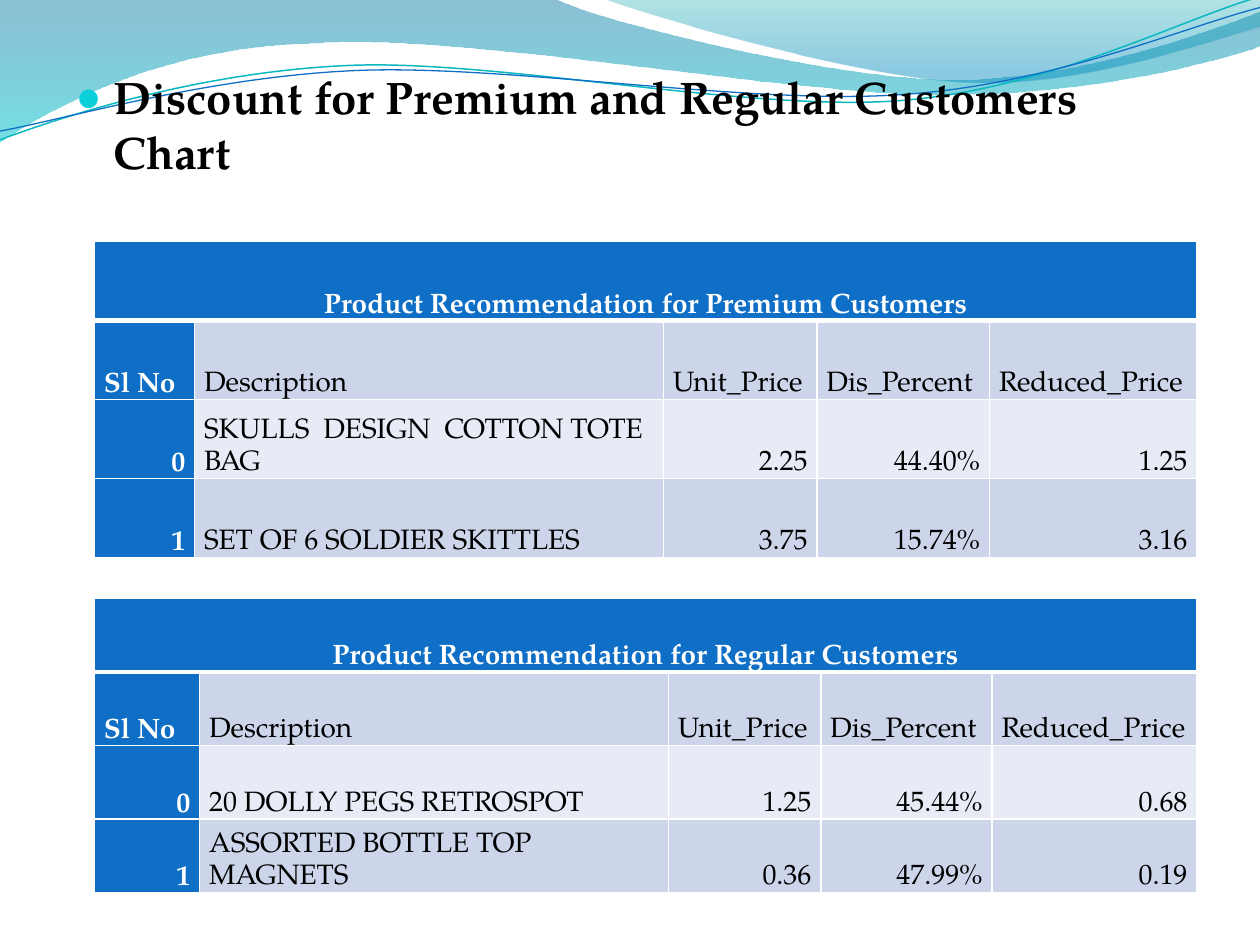
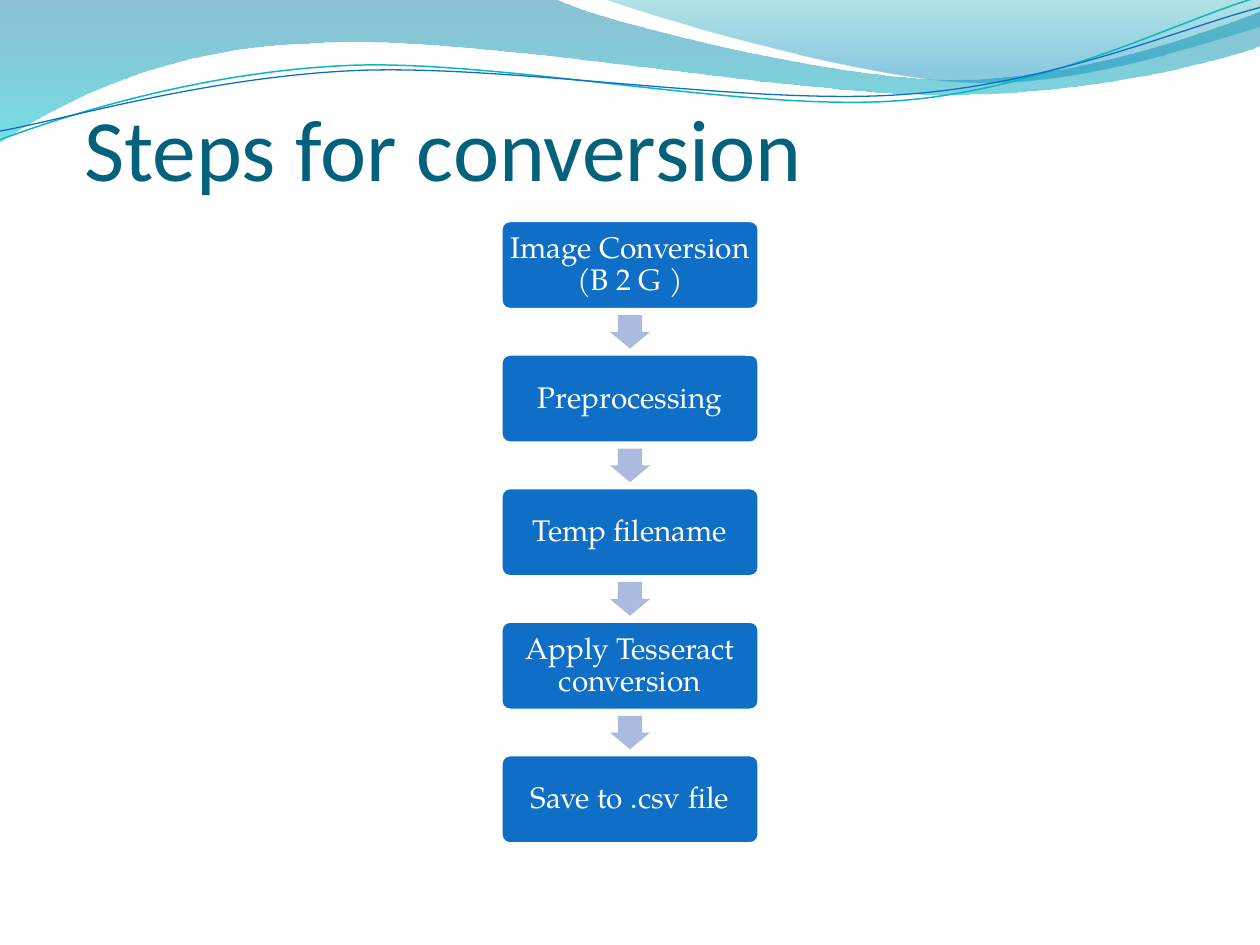
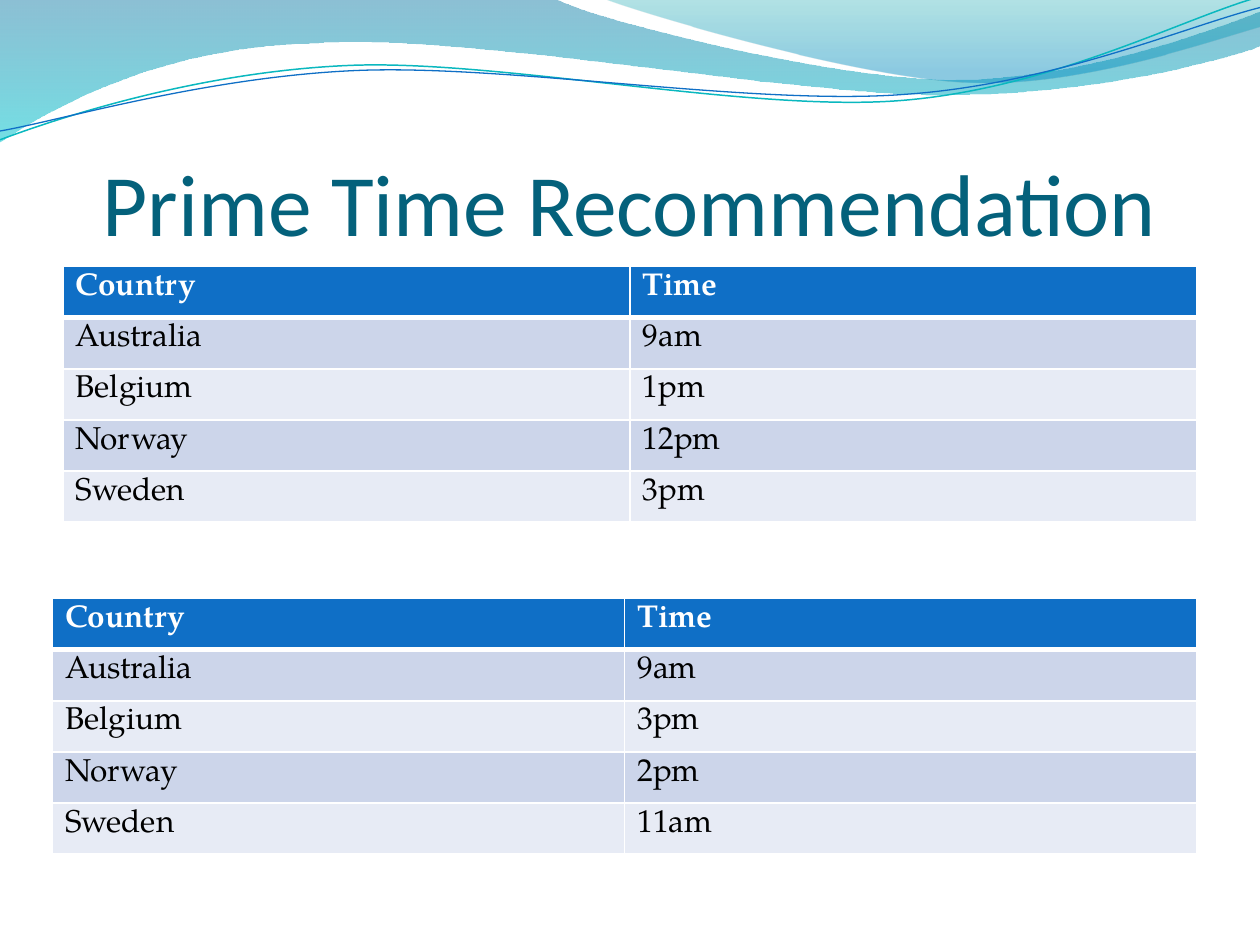
from dataclasses import dataclass
from typing import Optional

from lxml.etree import SubElement
from pptx import Presentation
from pptx.dml.color import RGBColor
from pptx.enum.shapes import MSO_SHAPE
from pptx.enum.text import MSO_ANCHOR, MSO_AUTO_SIZE, PP_ALIGN
from pptx.oxml.ns import qn
from pptx.util import Inches, Pt

# The slide is a grid of 100 columns by 75 rows
SLIDE_WIDTH, SLIDE_HEIGHT = Inches(10), Inches(7.5)
COLUMN, ROW = SLIDE_WIDTH / 100, SLIDE_HEIGHT / 75

# Shared style
BODY_FONT, TITLE_FONT = "TeX Gyre Pagella", "Calibri"
BLUE, TEAL, WHITE, BLACK = "0F6FC6", "04617B", "FFFFFF", "000000"
BAND_DARK, BAND_LIGHT, ARROW = "CCD5EA", "E7EBF5", "ABBBDF"
BULLET, TURQUOISE = "0BD0D9", "0AB8BF"
TITLE_ONLY, TITLE_AND_CONTENT = 5, 1


@dataclass(frozen=True)
class Area:
    left: float
    top: float
    width: float
    height: float

    def emu(self) -> tuple[int, int, int, int]:
        return (columns(self.left), rows(self.top),
                columns(self.width), rows(self.height))


@dataclass(frozen=True)
class Stop:
    position: float
    color: str
    opacity: int


@dataclass(frozen=True)
class Wave:
    """Segments hold one point for a line and three for a Bezier curve."""
    start: tuple
    segments: tuple
    stops: tuple = ()
    line_color: str = ""
    line_width: float = 0


@dataclass(frozen=True)
class TextStyle:
    size: float
    color: str = BLACK
    bold: bool = False
    font: str = BODY_FONT


@dataclass(frozen=True)
class TableStyle:
    size: float
    anchor: MSO_ANCHOR = MSO_ANCHOR.TOP
    side_margin: float = 0.1
    end_margin: float = 0.05
    line_spacing: Optional[float] = None
    captioned: bool = False  # caption across the top, blue index column


WAVES = (
    Wave((0, 0), (
        ((44, -0.1),),
        ((47.6, 1.7), (66.4, 6.3), (75.8, 6.3)),
        ((85.3, 6.3), (95.8, 2.6), (100, 0.9)),
        ((100.1, 3.6),),
        ((98.3, 4.4), (87, 7.6), (74.6, 7.5)),
        ((62.2, 7.5), (38.2, 2.8), (25.7, 3.4)),
        ((12.9, 3.6), (4.6, 8.3), (-0.1, 11.3)),
    ), stops=(Stop(0, "0074A1", 45), Stop(1, "00C6CF", 55))),
    Wave((47.9, -0.1), (
        ((50.9, 1.1), (68.2, 6.2), (76.9, 6.5)),
        ((85.6, 6.9), (96.1, 3.2), (100, 2.1)),
        ((100, 0),),
    ), stops=(Stop(0, "00A1A9", 30), Stop(0.8, "008BBF", 45))),
    Wave((0, 11.1), (
        ((4.8, 9.3), (15.8, 5.7), (27.7, 5.2)),
        ((39.5, 4.7), (59.3, 8.9), (71.3, 8)),
        ((83.3, 7.1), (93.8, 1.5), (99.8, -0.2)),
    ), line_color=TURQUOISE, line_width=0.85),
    Wave((0, 10.4), (
        ((4.7, 9.6), (16.4, 6.1), (28.3, 5.6)),
        ((40.3, 5.1), (59.7, 8.4), (71.7, 7.5)),
        ((83.6, 6.7), (94.1, 2.1), (100, 0.6)),
    ), line_color=BLUE, line_width=0.75),
)


def columns(count: float) -> int:
    return round(count * COLUMN)


def rows(count: float) -> int:
    return round(count * ROW)


def color(hex_color: str) -> RGBColor:
    return RGBColor.from_string(hex_color)


def add_run(paragraph, text: str, style: TextStyle) -> None:
    run = paragraph.add_run()
    run.text = text
    run.font.name, run.font.size = style.font, Pt(style.size)
    run.font.bold = style.bold
    run.font.color.rgb = color(style.color)


def set_margins(target, sides: float, top: float, bottom: float) -> None:
    target.margin_left = target.margin_right = Inches(sides)
    target.margin_top, target.margin_bottom = Inches(top), Inches(bottom)


def place(shape, area: Area) -> None:
    shape.left, shape.top, shape.width, shape.height = area.emu()


# Wave band shared by all slides

def bend_segments(shape, segments: tuple) -> None:
    """Turn each run of three straight steps into one Bezier curve."""
    lines = iter(list(shape.element.iter(qn("a:lnTo"))))
    for segment in segments:
        first, *others = [next(lines) for _ in segment]
        if others:
            first.tag = qn("a:cubicBezTo")
            for line in others:
                first.append(line[0])
                line.getparent().remove(line)


def draw_wave(slide, wave: Wave):
    start = (columns(wave.start[0]), rows(wave.start[1]))
    points = [(columns(x), rows(y)) for segment in wave.segments for x, y in segment]
    builder = slide.shapes.build_freeform(*start)
    builder.add_line_segments(points, close=bool(wave.stops))
    shape = builder.convert_to_shape()
    bend_segments(shape, wave.segments)
    shape.shadow.inherit = False
    if not wave.stops:
        shape.fill.background()
        shape.line.color.rgb = color(wave.line_color)
        shape.line.width = Pt(wave.line_width)
        return shape
    shape.line.fill.background()
    shape.fill.gradient()
    shape.fill.gradient_angle = 270
    for gradient_stop, stop in zip(shape.fill.gradient_stops, wave.stops):
        gradient_stop.position = stop.position
        gradient_stop.color.rgb = color(stop.color)
    for element, stop in zip(shape.element.iter(qn("a:srgbClr")), wave.stops):
        SubElement(element, qn("a:alpha"), val=str(stop.opacity * 1000))
    return shape


def move_waves_to_master(presentation, slide) -> None:
    master_tree = presentation.slide_master.shapes.element
    for index, wave in enumerate(WAVES):
        element = draw_wave(slide, wave).element
        element.nvSpPr.cNvPr.set("id", str(101 + index))
        master_tree.insert(2 + index, element)


def add_slide(presentation, layout: int):
    return presentation.slides.add_slide(presentation.slide_layouts[layout])


def write_title(slide, text: str, area: Area, alignment: PP_ALIGN) -> None:
    title = slide.shapes.title
    place(title, area)
    frame = title.text_frame
    frame.auto_size = MSO_AUTO_SIZE.NONE
    frame.word_wrap = True
    frame.vertical_anchor = MSO_ANCHOR.BOTTOM
    set_margins(frame, 0, 0.05, 0)
    paragraph = frame.paragraphs[0]
    paragraph.alignment = alignment
    add_run(paragraph, text, TextStyle(50, TEAL, font=TITLE_FONT))


def write_bullet_heading(slide, text: str, area: Area) -> None:
    title = slide.shapes.title.element
    title.getparent().remove(title)
    body = slide.placeholders[1]
    place(body, area)
    body.text_frame.auto_size = MSO_AUTO_SIZE.NONE
    paragraph = body.text_frame.paragraphs[0]
    properties = paragraph._p.get_or_add_pPr()
    properties.set("marL", str(Inches(0.3)))
    properties.set("indent", str(-Inches(0.3)))
    bullet_color = SubElement(properties, qn("a:buClr"))
    SubElement(bullet_color, qn("a:srgbClr"), val=BULLET)
    SubElement(properties, qn("a:buSzPct"), val="95000")
    SubElement(properties, qn("a:buChar"), char="●")
    paragraph.space_before = Pt(0)
    add_run(paragraph, text, TextStyle(26, bold=True))


# Tables

def set_borders(cell, top: float, bottom: float) -> None:
    properties = cell._tc.get_or_add_tcPr()
    for side, width in (("L", 1), ("R", 1), ("T", top), ("B", bottom)):
        line = SubElement(properties, qn(f"a:ln{side}"), w=str(Pt(width)))
        fill = SubElement(line, qn("a:solidFill"))
        SubElement(fill, qn("a:srgbClr"), val=WHITE)


def is_number(text: str) -> bool:
    return text.rstrip("%").replace(".", "").isdigit()


def draw_table(slide, area: Area, widths: tuple, records: tuple,
               style: TableStyle) -> None:
    table = slide.shapes.add_table(len(records), len(widths), *area.emu()).table
    table.horz_banding = False
    for column, width in zip(table.columns, widths):
        column.width = columns(width)
    for row in table.rows:
        row.height = rows(area.height / len(records))
    if style.captioned:
        table.cell(0, 0).merge(table.cell(0, len(widths) - 1))

    for row_index, record in enumerate(records):
        for column_index in range(len(widths)):
            cell = table.cell(row_index, column_index)
            is_header = row_index == 0 or (style.captioned and column_index == 0)
            set_borders(cell, 3 if row_index == 1 else 1, 3 if row_index == 0 else 1)
            cell.fill.solid()
            band = BAND_DARK if row_index % 2 else BAND_LIGHT
            cell.fill.fore_color.rgb = color(BLUE if is_header else band)
            if column_index >= len(record):
                continue
            text = record[column_index]
            cell.vertical_anchor = style.anchor
            set_margins(cell, style.side_margin, style.end_margin, style.end_margin)
            paragraph = cell.text_frame.paragraphs[0]
            if style.line_spacing:
                paragraph.line_spacing = style.line_spacing
            if cell.is_merge_origin:
                paragraph.alignment = PP_ALIGN.CENTER
            elif is_number(text):
                paragraph.alignment = PP_ALIGN.RIGHT
            add_run(paragraph, text, TextStyle(
                style.size, WHITE if is_header else BLACK, is_header))


# Flow chart

def draw_shape(slide, kind: MSO_SHAPE, area: Area, fill: str, adjustments: tuple):
    shape = slide.shapes.add_shape(kind, *area.emu())
    shape.shadow.inherit = False
    shape.fill.solid()
    shape.fill.fore_color.rgb = color(fill)
    shape.line.fill.background()
    for index, value in enumerate(adjustments):
        shape.adjustments[index] = value
    return shape


def draw_step(slide, text: str, area: Area) -> None:
    shape = draw_shape(slide, MSO_SHAPE.ROUNDED_RECTANGLE, area, BLUE, (0.1,))
    shape.line.color.rgb = color(WHITE)
    shape.line.width = Pt(2)
    frame = shape.text_frame
    frame.word_wrap = True
    frame.vertical_anchor = MSO_ANCHOR.MIDDLE
    set_margins(frame, 0.04, 0.04, 0.04)
    paragraph = frame.paragraphs[0]
    paragraph.alignment = PP_ALIGN.CENTER
    paragraph.line_spacing = 0.9
    add_run(paragraph, text, TextStyle(17, WHITE))


# Slides

def build_discounts(presentation) -> None:
    slide = add_slide(presentation, TITLE_AND_CONTENT)
    write_bullet_heading(slide, "Discount for Premium and Regular Customers Chart",
                         Area(5, 5, 90, 49.5))
    style = TableStyle(16, MSO_ANCHOR.BOTTOM, 0.075, 0, 1.15, captioned=True)
    header = ("Sl No", "Description", "Unit_Price", "Dis_Percent", "Reduced_Price")
    draw_table(slide, Area(7.5, 19.15, 87.5, 25.1), (7.95, 37.2, 12.2, 13.7, 16.45), (
        ("Product Recommendation for Premium Customers",),
        header,
        ("0", "SKULLS  DESIGN  COTTON TOTE BAG", "2.25", "44.40%", "1.25"),
        ("1", "SET OF 6 SOLDIER SKITTLES", "3.75", "15.74%", "3.16"),
    ), style)
    draw_table(slide, Area(7.5, 47.5, 87.5, 23.36), (8.35, 37.2, 12.1, 13.6, 16.25), (
        ("Product Recommendation for Regular Customers",),
        header,
        ("0", "20 DOLLY PEGS RETROSPOT", "1.25", "45.44%", "0.68"),
        ("1", "ASSORTED BOTTLE TOP  MAGNETS", "0.36", "47.99%", "0.19"),
    ), style)


def build_conversion_steps(presentation) -> None:
    slide = add_slide(presentation, TITLE_ONLY)
    write_title(slide, "Steps for conversion", Area(6.67, 3.3, 90, 12.5), PP_ALIGN.LEFT)
    steps = ("Image Conversion (B 2 G )", "Preprocessing", "Temp filename",
             "Apply Tesseract conversion", "Save to .csv file")
    first_top, pitch, width, height = 17.5, 10.6, 20.5, 7.08
    arrow_width, arrow_height = 3.2, 2.66
    for index, step in enumerate(steps):
        top = first_top + index * pitch
        draw_step(slide, step, Area(50 - width / 2, top, width, height))
        if index < len(steps) - 1:
            arrow_top = top + height + (pitch - height - arrow_height) / 2
            draw_shape(slide, MSO_SHAPE.DOWN_ARROW,
                       Area(50 - arrow_width / 2, arrow_top, arrow_width, arrow_height),
                       ARROW, (0.6, 0.5))


def build_prime_time(presentation) -> None:
    slide = add_slide(presentation, TITLE_ONLY)
    write_title(slide, "Prime Time Recommendation", Area(5, 7.7, 90, 12.5),
                PP_ALIGN.CENTER)
    countries = ("Australia", "Belgium", "Norway", "Sweden")
    schedules = (
        (Area(5, 21.15, 90, 20.3), ("9am", "1pm", "12pm", "3pm")),
        (Area(4.17, 47.5, 90.83, 20.3), ("9am", "3pm", "2pm", "11am")),
    )
    for area, times in schedules:
        records = (("Country", "Time"), *zip(countries, times))
        draw_table(slide, area, (area.width / 2,) * 2, records, TableStyle(18))


def main() -> None:
    presentation = Presentation()
    presentation.slide_width, presentation.slide_height = SLIDE_WIDTH, SLIDE_HEIGHT
    build_discounts(presentation)
    build_conversion_steps(presentation)
    build_prime_time(presentation)
    move_waves_to_master(presentation, presentation.slides[0])
    presentation.save("out.pptx")


if __name__ == "__main__":
    main()
